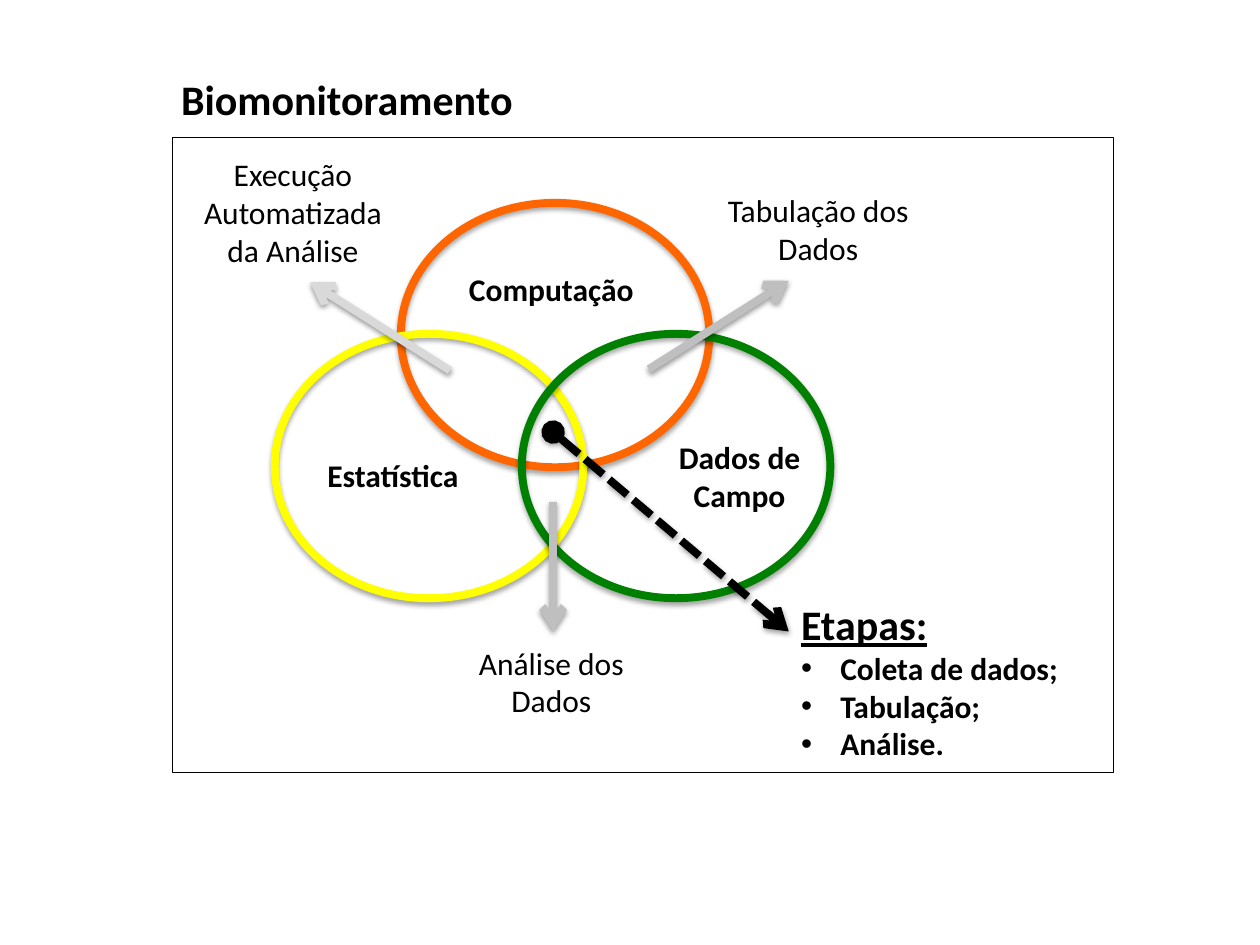
from lxml import etree
from pptx import Presentation
from pptx.dml.color import RGBColor
from pptx.enum.dml import MSO_LINE
from pptx.enum.shapes import MSO_CONNECTOR, MSO_SHAPE
from pptx.enum.text import PP_ALIGN
from pptx.oxml.ns import qn
from pptx.util import Cm, Pt


def rgb(color):
    return RGBColor.from_string(color)


def add_text(text, x, y, w, h, size=18, bold=False, align=PP_ALIGN.CENTER,
             underline=None, bullets=()):
    tf = s.shapes.add_textbox(Cm(x), Cm(y), Cm(w), Cm(h)).text_frame
    tf.word_wrap = True
    for i, line in enumerate([text, *bullets]):
        p = tf.paragraphs[0] if i == 0 else tf.add_paragraph()
        p.alignment = align
        r = p.add_run()
        r.text = line
        r.font.name = "Calibri"
        r.font.size = Pt(18 if i else size)
        r.font.bold = bold
        r.font.color.rgb = rgb("000000")
        if i == 0:
            r.font.underline = underline
        else:
            pPr = p._p.get_or_add_pPr()
            pPr.set("marL", str(Cm(0.79)))
            pPr.set("indent", str(-Cm(0.79)))
            etree.SubElement(pPr, qn("a:buFont"), typeface="Arial")
            etree.SubElement(pPr, qn("a:buChar"), char="•")


prs = Presentation()
prs.slide_width, prs.slide_height = Cm(25.4), Cm(19.05)
s = prs.slides.add_slide(prs.slide_layouts[6])

# Frame and title
sp = s.shapes.add_shape(MSO_SHAPE.RECTANGLE, Cm(3.48), Cm(2.77), Cm(18.97), Cm(12.8))
sp.shadow.inherit = False
sp.fill.background()
sp.line.color.rgb = rgb("000000")
sp.line.width = Pt(0.75)
add_text("Biomonitoramento", 3.4, 1.35, 7.52, 1.27, size=24, bold=True,
         align=PP_ALIGN.LEFT)

# Venn circles
shadowed = []
for x, y, color in [(8.08, 4.09, "FF6600"), (5.54, 6.73, "FFFF00"),
                    (10.52, 6.73, "008000")]:
    sp = s.shapes.add_shape(MSO_SHAPE.OVAL, Cm(x), Cm(y), Cm(6.22), Cm(5.33))
    sp.fill.background()
    sp.line.color.rgb = rgb(color)
    sp.line.width = Pt(4.5)
    shadowed.append((sp, 1.8, 35))

# Circle names
add_text("Computação", 8.92, 5.31, 4.39, 1.02, bold=True)
add_text("Estatística", 6.22, 9.07, 3.4, 1.02, bold=True)
add_text("Dados de Campo", 13.21, 8.71, 3.4, 1.8, bold=True)

# Arrows out of the overlaps; the dashed one starts at the centre
for x1, y1, x2, y2, color, dashed in [
    (9.07, 7.47, 6.25, 5.69, "D9D9D9", False),
    (13.08, 7.44, 15.9, 5.66, "BFBFBF", False),
    (11.15, 10.11, 11.15, 12.73, "BFBFBF", False),
    (11.15, 8.71, 15.9, 12.73, "000000", True),
]:
    sp = s.shapes.add_connector(MSO_CONNECTOR.STRAIGHT, Cm(x1), Cm(y1), Cm(x2), Cm(y2))
    sp.line.color.rgb = rgb(color)
    sp.line.width = Pt(4.5)
    if dashed:
        sp.line.dash_style = MSO_LINE.SQUARE_DOT
    ln = sp._element.spPr.find(qn("a:ln"))
    if dashed:
        etree.SubElement(ln, qn("a:headEnd"), type="oval")
    etree.SubElement(ln, qn("a:tailEnd"), type="arrow")
    shadowed.append((sp, 1.6, 38))

# Soft shadow straight below circles and arrows
for sp, distance, opacity in shadowed:
    effects = etree.SubElement(sp._element.spPr, qn("a:effectLst"))
    shadow = etree.SubElement(effects, qn("a:outerShdw"), blurRad=str(Pt(3.1)),
                              dist=str(Pt(distance)), dir="5400000", rotWithShape="0")
    black = etree.SubElement(shadow, qn("a:srgbClr"), val="000000")
    etree.SubElement(black, qn("a:alpha"), val=str(opacity * 1000))

# Overlap captions
add_text("Execução Automatizada da Análise", 3.71, 3, 4.39, 2.57)
add_text("Tabulação dos Dados", 14.3, 3.73, 4.39, 1.8)
add_text("Análise dos Dados", 8.92, 12.85, 4.39, 1.8)

# Steps
add_text("Etapas:", 15.9, 11.94, 6.48, 3.58, size=24, bold=True, underline=True,
         align=PP_ALIGN.LEFT, bullets=["Coleta de dados;", "Tabulação;", "Análise."])

prs.save("out.pptx")
